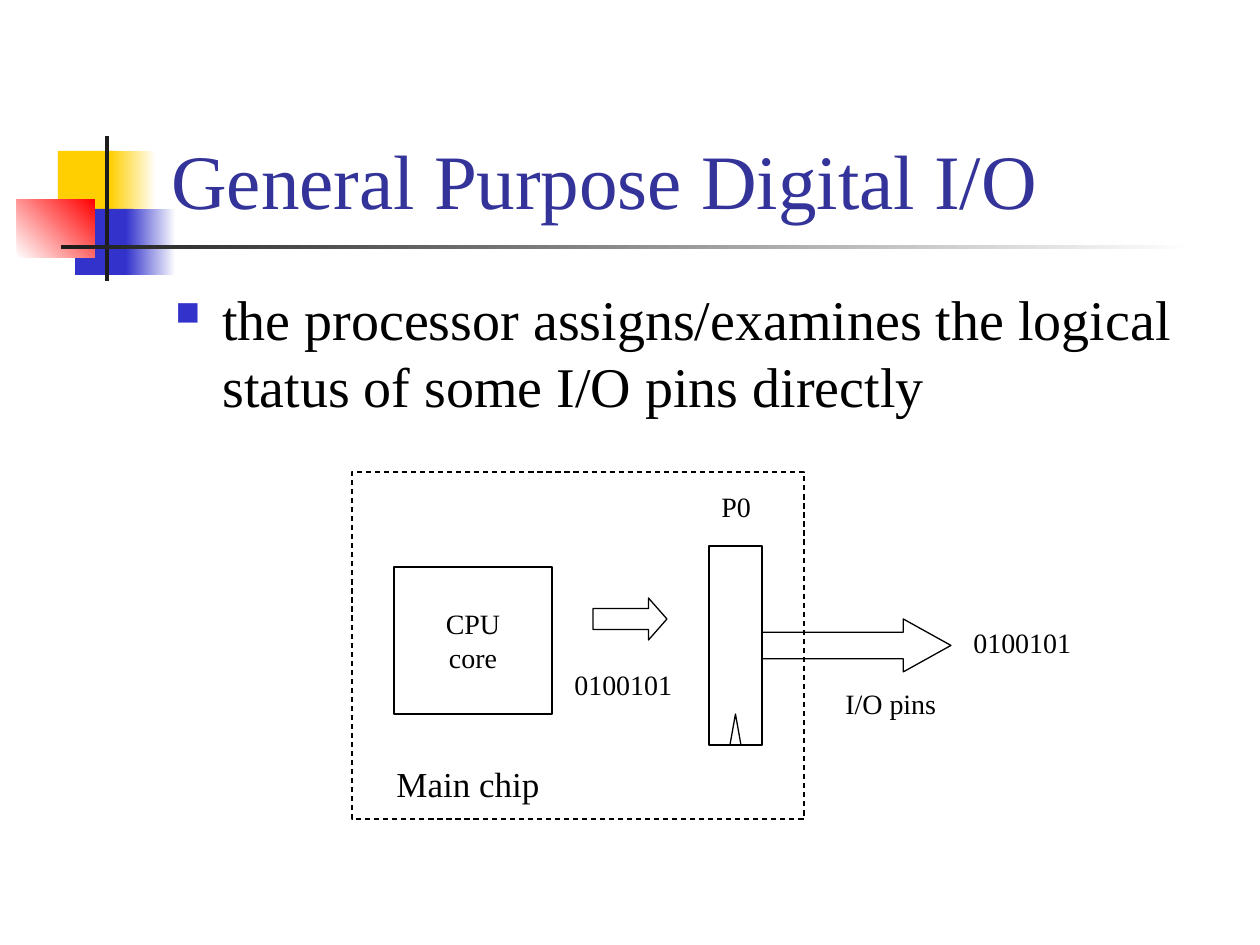
from lxml import etree
from pptx import Presentation
from pptx import util as u
from pptx.dml.color import RGBColor
from pptx.enum import dml, shapes, text
from pptx.oxml.ns import qn

PX = 914400 / 126
COLORS = {
    "yellow": "FFCF01", "blue": "3333CC", "red": "FF0000", "dark": "1C1C1C",
    "white": "FFFFFF", "title": "333399", "black": "000000",
}

deck = Presentation()
deck.slide_width, deck.slide_height = u.Inches(10), u.Inches(7.5)
slide = deck.slides.add_slide(deck.slide_layouts[6])


def px(*lengths):
    return [round(length * PX) for length in lengths]


def write(words, box=None, frame=None, size=16, color="black", wrap=False,
          anchor=text.MSO_ANCHOR.TOP, align=text.PP_ALIGN.LEFT):
    frame = frame or slide.shapes.add_textbox(*px(*box)).text_frame
    frame.word_wrap = wrap
    frame.vertical_anchor = anchor
    frame.text = words
    for paragraph in frame.paragraphs:
        paragraph.alignment = align
        font = paragraph.runs[0].font
        font.name, font.size = "Times New Roman", u.Pt(size)
        font.color.rgb = RGBColor.from_string(COLORS[color])
    return frame


for start, end, angle, box in [
    ("yellow", None, 0, (58, 151, 60, 66)),
    ("yellow", "white", 0, (110, 151, 46, 66)),
    ("blue", None, 0, (75, 209, 58, 66)),
    ("blue", "white", 0, (126, 209, 50, 66)),
    ("white", "red", 45, (17, 199, 78, 59)),
    ("dark", None, 0, (105, 136, 4, 145)),
    ("dark", "white", 0, (61, 245, 1134, 4)),
]:
    ornament = slide.shapes.add_shape(shapes.MSO_SHAPE.RECTANGLE, *px(*box))
    ornament.shadow.inherit = False
    ornament.line.fill.background()
    if end:
        ornament.fill.gradient()
        ornament.fill.gradient_angle = angle
        for stop, name in zip(ornament.fill.gradient_stops, (start, end)):
            stop.color.rgb = RGBColor.from_string(COLORS[name])
    else:
        ornament.fill.solid()
        ornament.fill.fore_color.rgb = RGBColor.from_string(COLORS[start])

write("General Purpose Digital I/O", (159, 29, 1074, 202), size=44,
      color="title", wrap=True, anchor=text.MSO_ANCHOR.BOTTOM)

statement = write(
    "the processor assigns/examines the logical status of some I/O pins directly",
    (163, 278, 1071, 145), size=32, wrap=True).paragraphs[0]
statement.space_before = u.Pt(6.4)
bullet = statement._p.get_or_add_pPr()
indent = px(47)[0]
bullet.set("marL", str(indent))
bullet.set("indent", str(-indent))
bullet_color = etree.SubElement(bullet, qn("a:buClr"))
etree.SubElement(bullet_color, qn("a:srgbClr"), val=COLORS["blue"])
etree.SubElement(bullet, qn("a:buSzPct"), val="60000")
etree.SubElement(bullet, qn("a:buChar"), char="■")

diagram = {}
for part, kind, box in [
    ("core", shapes.MSO_SHAPE.RECTANGLE, (394, 567, 158, 147)),
    ("port", shapes.MSO_SHAPE.RECTANGLE, (709, 546, 53, 199)),
    ("clock", shapes.MSO_SHAPE.ISOSCELES_TRIANGLE, (730, 714, 11, 31)),
    ("bus", shapes.MSO_SHAPE.RIGHT_ARROW, (593, 598, 74, 42)),
    ("chip", shapes.MSO_SHAPE.RECTANGLE, (352, 472, 452, 347)),
    ("pins", shapes.MSO_SHAPE.RIGHT_ARROW, (762, 619, 189, 53)),
]:
    outline = slide.shapes.add_shape(kind, *px(*box))
    outline.shadow.inherit = False
    outline.fill.background()
    outline.line.color.rgb = RGBColor.from_string(COLORS["black"])
    outline.line.width = u.Pt(0.75)
    diagram[part] = outline

diagram["chip"].line.dash_style = dml.MSO_LINE.DASH
diagram["bus"].adjustments[1] = 0.44
diagram["pins"].adjustments[1] = 0.9
write("CPU\ncore", frame=diagram["core"].text_frame,
      anchor=text.MSO_ANCHOR.MIDDLE, align=text.PP_ALIGN.CENTER)

for label, size, box in [
    ("0100101", 16, (562, 661, 124, 47)),
    ("P0", 16, (709, 483, 55, 47)),
    ("Main chip", 20, (384, 756, 180, 54)),
    ("I/O pins", 16, (833, 680, 117, 47)),
    ("0100101", 16, (961, 619, 124, 47)),
]:
    write(label, box, size=size)

deck.save("out.pptx")
